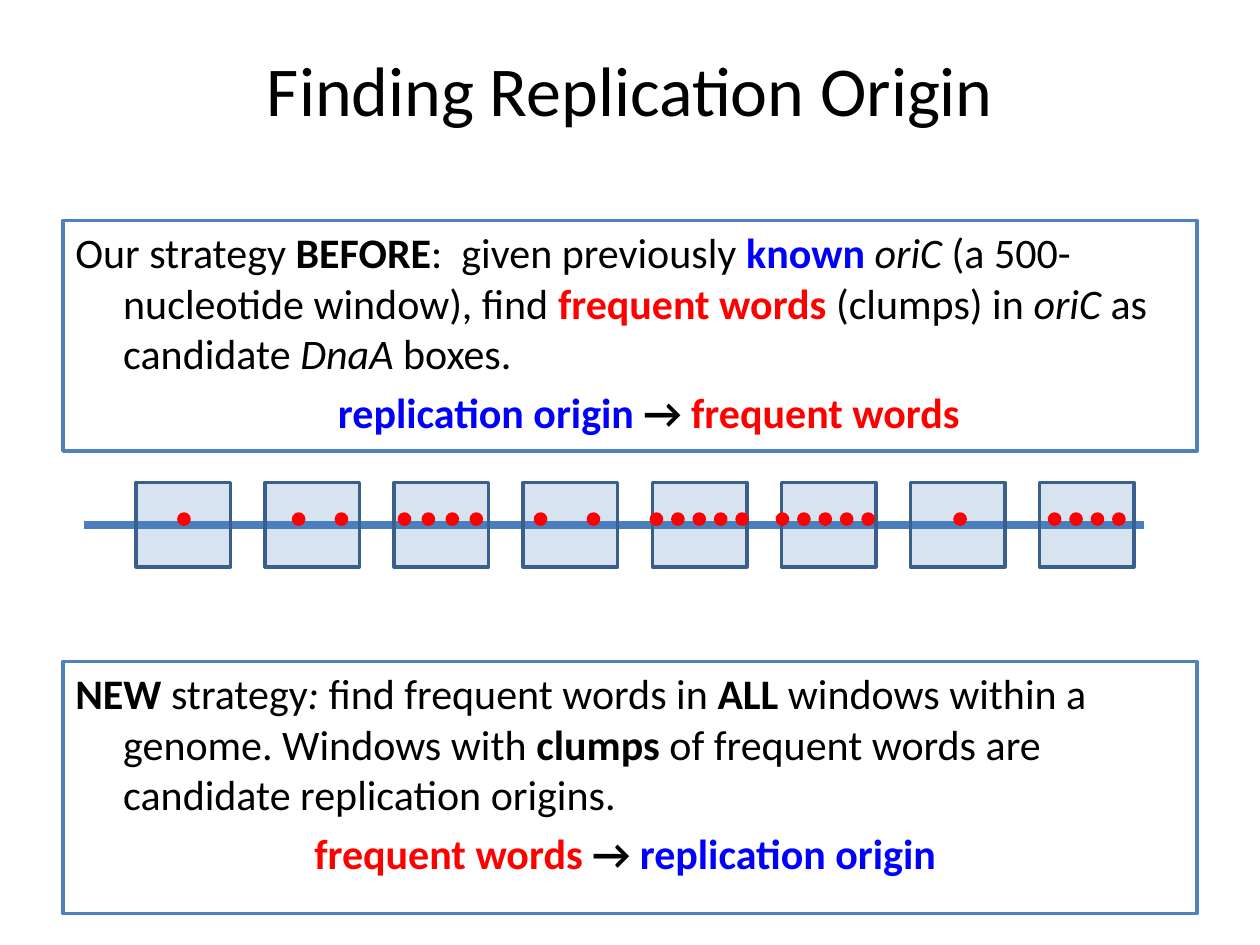
from typing import NamedTuple

from lxml import etree
from pptx import Presentation
from pptx import util as u
from pptx.dml.color import RGBColor
from pptx.enum import shapes, text
from pptx.oxml.ns import qn

COLORS = {
    "black": "000000", "white": "FFFFFF", "known": "0000FF", "words": "FF0000",
    "frame": "4F81BD", "genome": "4B7EBC", "window edge": "3A5F8C",
}
FONT = "Calibri"
HANGING = 0.38
BOX_LEFT, BOX_WIDTH = 0.5, 9
WINDOW_LEFT, WINDOW_TOP, WINDOW_STEP = 1.08, 3.83, 7.17 / 7
WINDOW_WIDTH, WINDOW_HEIGHT = 0.75, 0.67
DOT_TOP, DOT_SIZE = 4.08, 0.08


class Span(NamedTuple):
    words: str
    color: str = "black"
    bold: bool = False
    italic: bool = False


class Para(NamedTuple):
    spans: list[Span]
    centered: bool = False
    indent: float = -HANGING


class Strategy(NamedTuple):
    top: float
    height: float
    paras: list[Para]


class DotGroup(NamedTuple):
    left: float
    count: int = 1
    step: float = 0


STRATEGIES = [
    Strategy(1.75, 1.83, [
        Para([
            Span("Our strategy "), Span("BEFORE", bold=True),
            Span(":  given previously "), Span("known ", "known", bold=True),
            Span("oriC ", italic=True), Span("(a 500-nucleotide window), find "),
            Span("frequent words ", "words", bold=True), Span("(clumps) in "),
            Span("oriC", italic=True), Span(" as candidate "),
            Span("DnaA", italic=True), Span(" boxes."),
        ]),
        Para([
            Span("replication origin ", "known", bold=True), Span("→ ", bold=True),
            Span("frequent words", "words", bold=True),
        ], centered=True, indent=-0.08),
    ]),
    Strategy(5.25, 2, [
        Para([
            Span("NEW ", bold=True), Span("strategy"), Span(": ", italic=True),
            Span("find frequent words in "), Span("ALL ", bold=True),
            Span("windows within a genome. Windows with "),
            Span("clumps", bold=True),
            Span(" of frequent words are candidate replication origins."),
        ]),
        Para([
            Span("frequent words ", "words", bold=True), Span("→ ", bold=True),
            Span("replication origin ", "known", bold=True),
        ], centered=True),
    ]),
]

# One group of frequent words per window
DOT_GROUPS = [
    DotGroup(1.42), DotGroup(2.33, 2, 0.34), DotGroup(3.17, 4, 0.19),
    DotGroup(4.25, 2, 0.42), DotGroup(5.17, 5, 0.17), DotGroup(6.17, 5, 0.17),
    DotGroup(7.58), DotGroup(8.33, 4, 0.17),
]


def rgb(name: str) -> RGBColor:
    return RGBColor.from_string(COLORS[name])


def add_span(para, span: Span, size: float) -> None:
    run = para.add_run()
    run.text = span.words
    run.font.name = FONT
    run.font.size = u.Pt(size)
    run.font.bold = span.bold
    run.font.italic = span.italic
    run.font.color.rgb = rgb(span.color)


def add_outlined(page, kind, left: float, top: float, width: float,
                 height: float, fill: str, line: str):
    shape = page.shapes.add_shape(kind, u.Inches(left), u.Inches(top),
                                  u.Inches(width), u.Inches(height))
    shape.shadow.inherit = False
    shape.fill.solid()
    shape.fill.fore_color.rgb = rgb(fill)
    shape.line.color.rgb = rgb(line)
    shape.line.width = u.Pt(2)
    return shape


def add_title(page, words: str) -> None:
    box = page.shapes.add_textbox(u.Inches(BOX_LEFT), u.Inches(0.08),
                                  u.Inches(BOX_WIDTH), u.Inches(1.25))
    frame = box.text_frame
    frame.word_wrap = True
    frame.vertical_anchor = text.MSO_ANCHOR.MIDDLE
    para = frame.paragraphs[0]
    para.alignment = text.PP_ALIGN.CENTER
    add_span(para, Span(words), 40)


def add_strategy(page, strategy: Strategy) -> None:
    box = add_outlined(page, shapes.MSO_SHAPE.RECTANGLE, BOX_LEFT, strategy.top,
                       BOX_WIDTH, strategy.height, "white", "frame")
    frame = box.text_frame
    frame.word_wrap = True
    frame.vertical_anchor = text.MSO_ANCHOR.TOP
    for index, item in enumerate(strategy.paras):
        para = frame.add_paragraph() if index else frame.paragraphs[0]
        para.alignment = (text.PP_ALIGN.CENTER if item.centered
                          else text.PP_ALIGN.LEFT)
        para.space_before = u.Pt(4.8 if index else 0)
        properties = para._p.get_or_add_pPr()
        properties.set("marL", str(u.Inches(HANGING)))
        properties.set("indent", str(u.Inches(item.indent)))
        for span in item.spans:
            add_span(para, span, 24)


def add_genome(page) -> None:
    line = page.shapes.add_connector(
        shapes.MSO_CONNECTOR.STRAIGHT, u.Inches(0.67), u.Inches(4.17),
        u.Inches(9.08), u.Inches(4.17))
    line.line.color.rgb = rgb("genome")
    line.line.width = u.Pt(4.5)
    etree.SubElement(line._element.spPr, qn("a:effectLst"))


def add_window(page, left: float) -> None:
    window = add_outlined(page, shapes.MSO_SHAPE.RECTANGLE, left, WINDOW_TOP,
                          WINDOW_WIDTH, WINDOW_HEIGHT, "frame", "window edge")
    color = window._element.spPr.find(qn("a:solidFill"))[0]
    etree.SubElement(color, qn("a:alpha"), val="22000")


def add_dots(page, group: DotGroup) -> None:
    for index in range(group.count):
        add_outlined(page, shapes.MSO_SHAPE.OVAL, group.left + index * group.step,
                     DOT_TOP, DOT_SIZE, DOT_SIZE, "words", "words")


def main() -> None:
    deck = Presentation()
    deck.slide_width, deck.slide_height = u.Inches(10), u.Inches(7.5)
    page = deck.slides.add_slide(deck.slide_layouts[6])

    # Title and the two strategies
    add_title(page, "Finding Replication Origin")
    for strategy in STRATEGIES:
        add_strategy(page, strategy)

    # Genome with its windows, then the frequent words on top
    add_genome(page)
    for index in range(len(DOT_GROUPS)):
        add_window(page, WINDOW_LEFT + index * WINDOW_STEP)
    for group in DOT_GROUPS:
        add_dots(page, group)

    deck.save("out.pptx")


if __name__ == "__main__":
    main()
